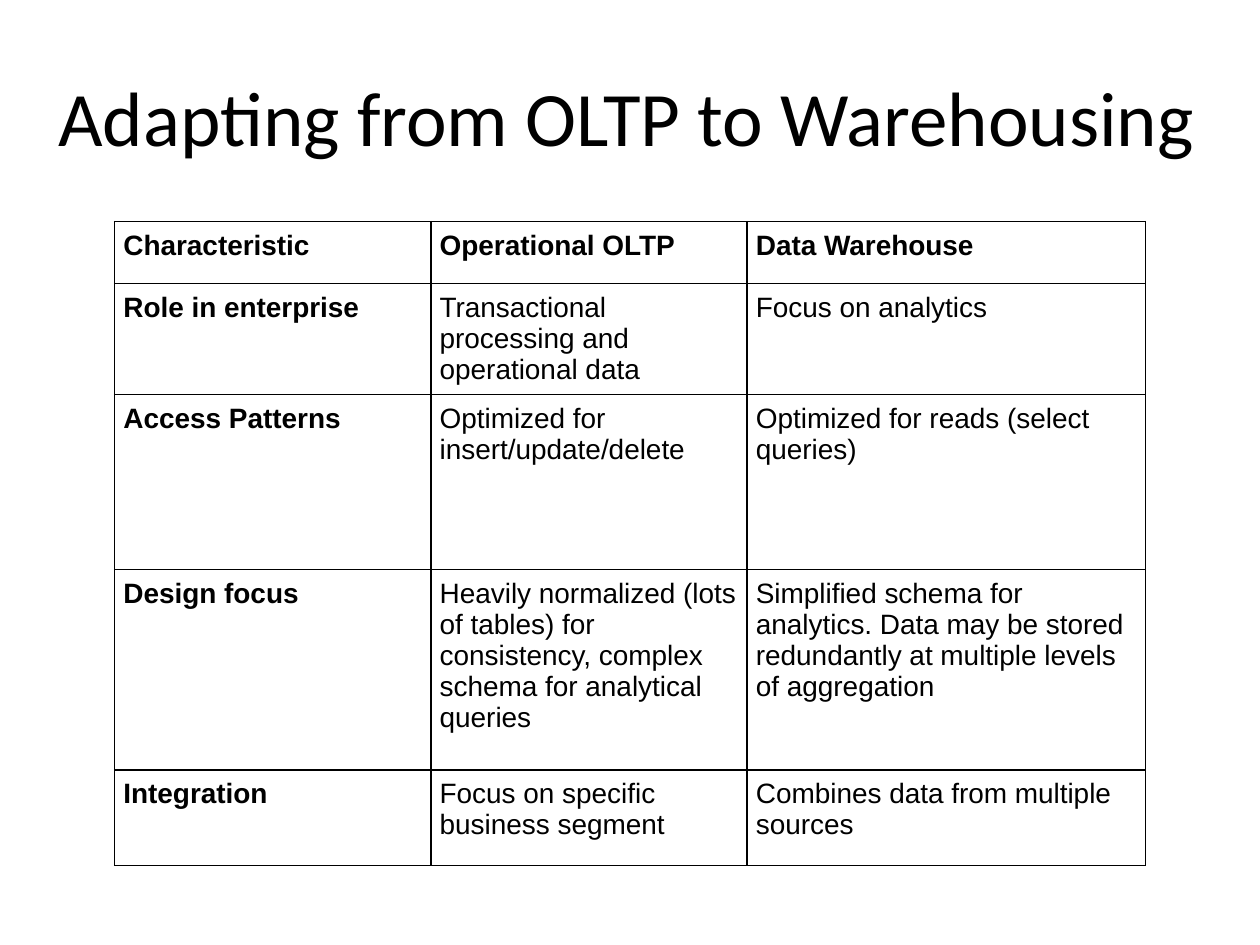
import pptx
import pptx.util
import pptx.dml.color
import pptx.enum.text
import pptx.oxml
import pptx.oxml.ns
from pptx.util import Inches

COLORS = {"text": "000000", "border": "000000"}
TITLE_FONT = {"name": "Calibri", "size": pptx.util.Pt(44), "bold": False}
CELL_FONT = {"name": "Arial", "size": pptx.util.Pt(16)}
MARGINS = {f"margin_{side}": Inches(0.07)
           for side in ("left", "right", "top", "bottom")}

COL_WIDTHS = [2.51, 2.51, 3.16]
ROW_HEIGHTS = [0.49, 0.76, 1.39, 1.59, 0.76]
ROWS = [
    ("Characteristic", "Operational OLTP", "Data Warehouse"),
    ("Role in enterprise", "Transactional processing and operational data",
     "Focus on analytics"),
    ("Access Patterns", "Optimized for insert/update/delete",
     "Optimized for reads (select queries)"),
    ("Design focus",
     "Heavily normalized (lots of tables) for consistency, complex schema "
     "for analytical queries",
     "Simplified schema for analytics. Data may be stored redundantly at "
     "multiple levels of aggregation"),
    ("Integration", "Focus on specific business segment",
     "Combines data from multiple sources"),
]


def set_attrs(obj, values):
    for name, value in values.items():
        setattr(obj, name, value)


def format_run(r, values):
    set_attrs(r.font, values)
    r.font.color.rgb = pptx.dml.color.RGBColor.from_string(COLORS["text"])


def add_borders(cell, width=pptx.util.Pt(1)):
    tc_pr = cell._tc.get_or_add_tcPr()
    # Border lines come before the fill in the cell properties
    for i, tag in enumerate(("lnL", "lnR", "lnT", "lnB")):
        tc_pr.insert(i, pptx.oxml.parse_xml(
            f'<a:{tag} {pptx.oxml.ns.nsdecls("a")} w="{int(width)}"><a:solidFill>'
            f'<a:srgbClr val="{COLORS["border"]}"/></a:solidFill></a:{tag}>'))


def add_title(s, text, left, top, width, height):
    title = s.shapes.title
    set_attrs(title, {"left": left, "top": top, "width": width, "height": height})
    tf = title.text_frame
    set_attrs(tf, {"word_wrap": True,
                   "vertical_anchor": pptx.enum.text.MSO_ANCHOR.MIDDLE})
    p = tf.paragraphs[0]
    p.alignment = pptx.enum.text.PP_ALIGN.CENTER
    r = p.add_run()
    r.text = text
    format_run(r, TITLE_FONT)


def add_comparison(s, left, top, width, height):
    table = s.shapes.add_table(len(ROWS), len(COL_WIDTHS),
                               left, top, width, height).table
    set_attrs(table, {"first_row": False, "horz_banding": False})
    # Columns and rows share the box in proportion
    for col, w in zip(table.columns, COL_WIDTHS):
        col.width = int(width * w / sum(COL_WIDTHS))
    for row, h in zip(table.rows, ROW_HEIGHTS):
        row.height = int(height * h / sum(ROW_HEIGHTS))
    # Header row and first column are bold
    for i, texts in enumerate(ROWS):
        for j, text in enumerate(texts):
            cell = table.cell(i, j)
            set_attrs(cell, MARGINS)
            cell.fill.background()
            add_borders(cell)
            r = cell.text_frame.paragraphs[0].add_run()
            r.text = text
            format_run(r, {**CELL_FONT, "bold": i == 0 or j == 0})


def main():
    prs = pptx.Presentation()
    prs.slide_width, prs.slide_height = Inches(10), Inches(7.5)
    s = prs.slides.add_slide(prs.slide_layouts.get_by_name("Title Only"))
    add_title(s, "Adapting from OLTP to Warehousing",
              Inches(0.17), Inches(0.25), Inches(9.61), Inches(1.33))
    add_comparison(s, Inches(0.91), Inches(1.76),
                   Inches(sum(COL_WIDTHS)), Inches(sum(ROW_HEIGHTS)))
    prs.save("out.pptx")


if __name__ == "__main__":
    main()
